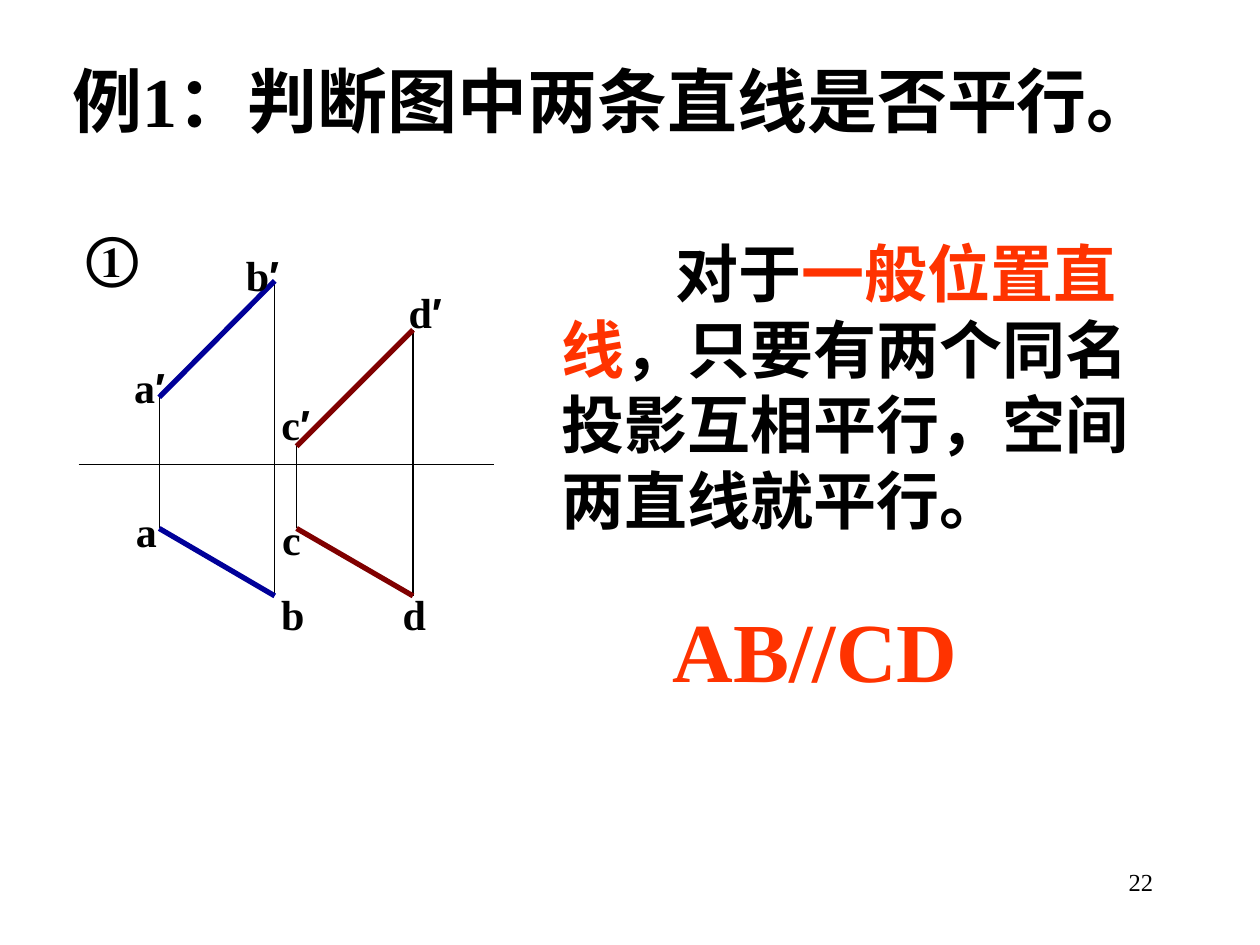
from lxml import etree
from pptx import Presentation
from pptx.dml.color import RGBColor
from pptx.enum.shapes import MSO_CONNECTOR
from pptx.enum.text import MSO_ANCHOR, PP_ALIGN
from pptx.oxml.ns import qn
from pptx.util import Pt

STRAIGHT = MSO_CONNECTOR.STRAIGHT
TOP, MIDDLE = MSO_ANCHOR.TOP, MSO_ANCHOR.MIDDLE
LEFT, CENTER, RIGHT = PP_ALIGN.LEFT, PP_ALIGN.CENTER, PP_ALIGN.RIGHT

SERIF, SANS = "Times New Roman", "Arial"
BLACK, BLUE, MAROON, ORANGE = "000000", "000099", "800000", "FF3300"

SEGMENTS = [
    (BLUE, (91, 157), (227, 160.5), (302, 340.5)),
    (MAROON, (169.5, 236), (255, 188.5), (302, 340.5)),
]
POINT_LABELS = [
    ("a", 83.5, 303), ("b", 166.5, 350.5),
    ("c", 166.5, 308), ("d", 236, 350.5),
    ("a′", 85.5, 221), ("b′", 150, 157),
    ("c′", 169, 242), ("d′", 243, 178),
]


def color(value):
    """Turn a hex string into a colour."""
    return RGBColor.from_string(value)


def add_line(slide, start, end, line_color=BLACK, width=0.75):
    """Draw a straight line between two points."""
    line = slide.shapes.add_connector(STRAIGHT, *map(Pt, start + end))
    line.line.color.rgb = color(line_color)
    line.line.width = Pt(width)
    etree.SubElement(line._element.spPr, qn("a:effectLst"))


def add_span(para, text, size=24, bold=True, text_color=BLACK, font=SERIF):
    """Append formatted text to a paragraph."""
    span = para.add_run()
    span.text = text
    span.font.size = Pt(size)
    span.font.bold = bold
    span.font.name = font
    span.font.color.rgb = color(text_color)


def format_box(box, place, align=LEFT, anchor=MIDDLE, wrap=False):
    """Place a text shape and return its first paragraph."""
    box.left, box.top, box.width, box.height = map(Pt, place)
    frame = box.text_frame
    frame.word_wrap = wrap
    frame.vertical_anchor = anchor
    para = frame.paragraphs[0]
    para.alignment = align
    return para


def add_box(slide, place, **layout):
    """Add a text box and return its first paragraph."""
    return format_box(slide.shapes.add_textbox(*map(Pt, place)), place, **layout)


def add_point_label(slide, text, center_x, center_y):
    """Label a projected point, with its prime mark in the sans font."""
    width = 34 if "′" in text else 26
    place = (center_x - width / 2, center_y - 18, width, 36)
    para = add_box(slide, place, align=CENTER)
    add_span(para, text[0])
    if text[1:]:
        add_span(para, text[1:], font=SANS)


def add_projections(slide):
    """Draw the axis, both projections of each segment and their links."""
    add_line(slide, (45, 265.5), (282.5, 265.5))
    for line_color, xs, front, plan in SEGMENTS:
        for x, upper, lower in zip(xs, front, plan):
            add_line(slide, (x, upper), (x, lower))
        for ys in (front, plan):
            start, end = zip(xs, ys)
            add_line(slide, start, end, line_color, 3)
    for label in POINT_LABELS:
        add_point_label(slide, *label)


def add_explanation(slide):
    """Add the rule for lines in general position."""
    para = add_box(slide, (314, 130.5, 343.5, 180), wrap=True)
    para._p.get_or_add_pPr().set("indent", str(Pt(65)))
    add_span(para, "对于", size=36)
    add_span(para, "一般位置直线", size=36, text_color=ORANGE)
    add_span(para, "，只要有两个同名投影互相平行，空间两直线就平行。", size=36)


def main():
    """Build the slide and save it."""
    deck = Presentation()
    deck.slide_width, deck.slide_height = Pt(720), Pt(540)
    slide = deck.slides.add_slide(deck.slide_layouts[5])
    title = format_box(slide.shapes.title, (34.5, 29, 653, 55.5))
    add_span(title, "例1：判断图中两条直线是否平行。", size=40)
    add_projections(slide)
    add_explanation(slide)
    answer = add_box(slide, (377.5, 338.5, 177, 65))
    add_span(answer, "AB//CD", size=48, text_color=ORANGE)
    number = add_box(slide, (41, 123, 47, 46), align=CENTER, wrap=True)
    add_span(number, "①", size=32)
    page = add_box(slide, (516, 492, 150, 36), align=RIGHT, anchor=TOP, wrap=True)
    add_span(page, "22", size=14, bold=False)
    deck.save("out.pptx")


if __name__ == "__main__":
    main()
